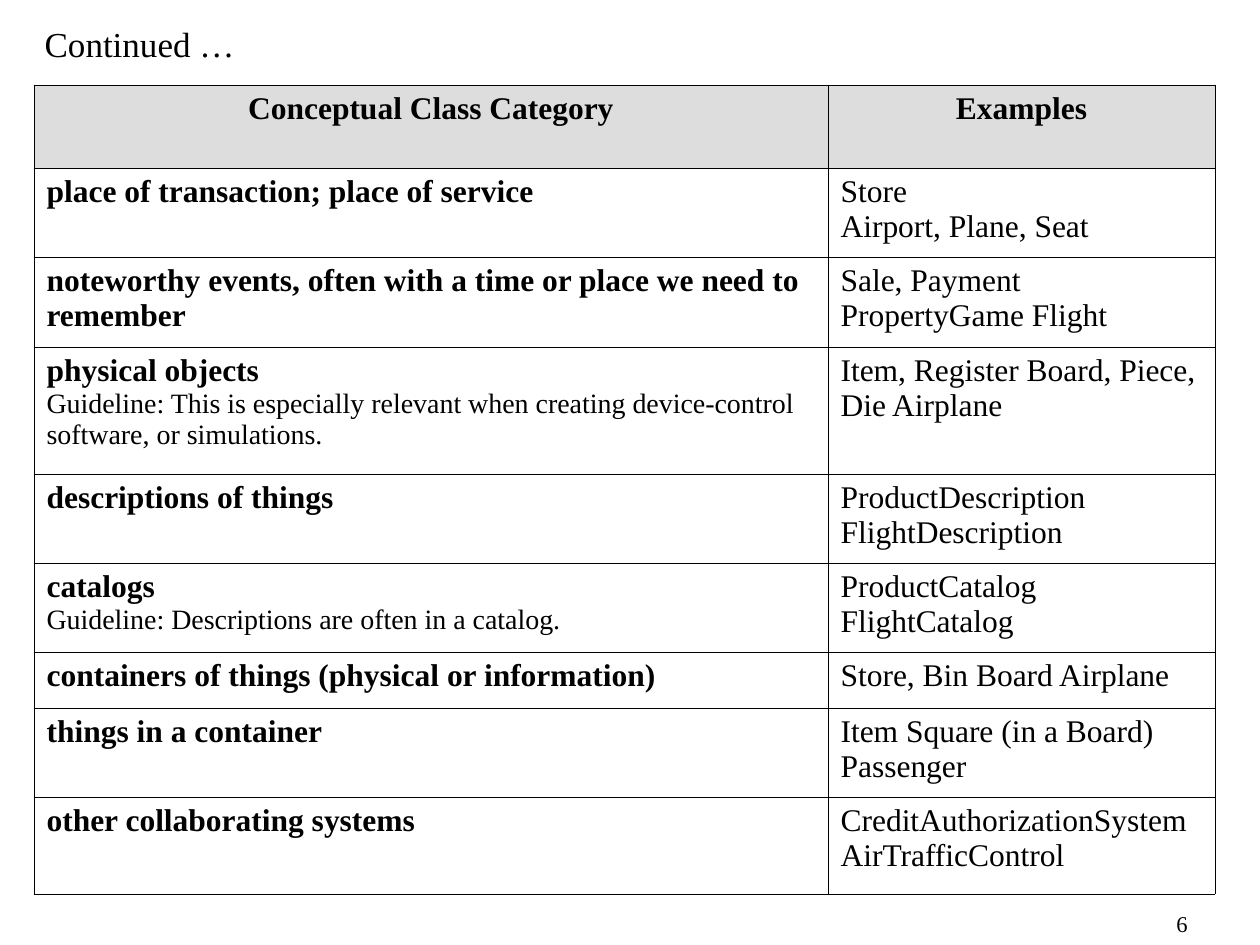
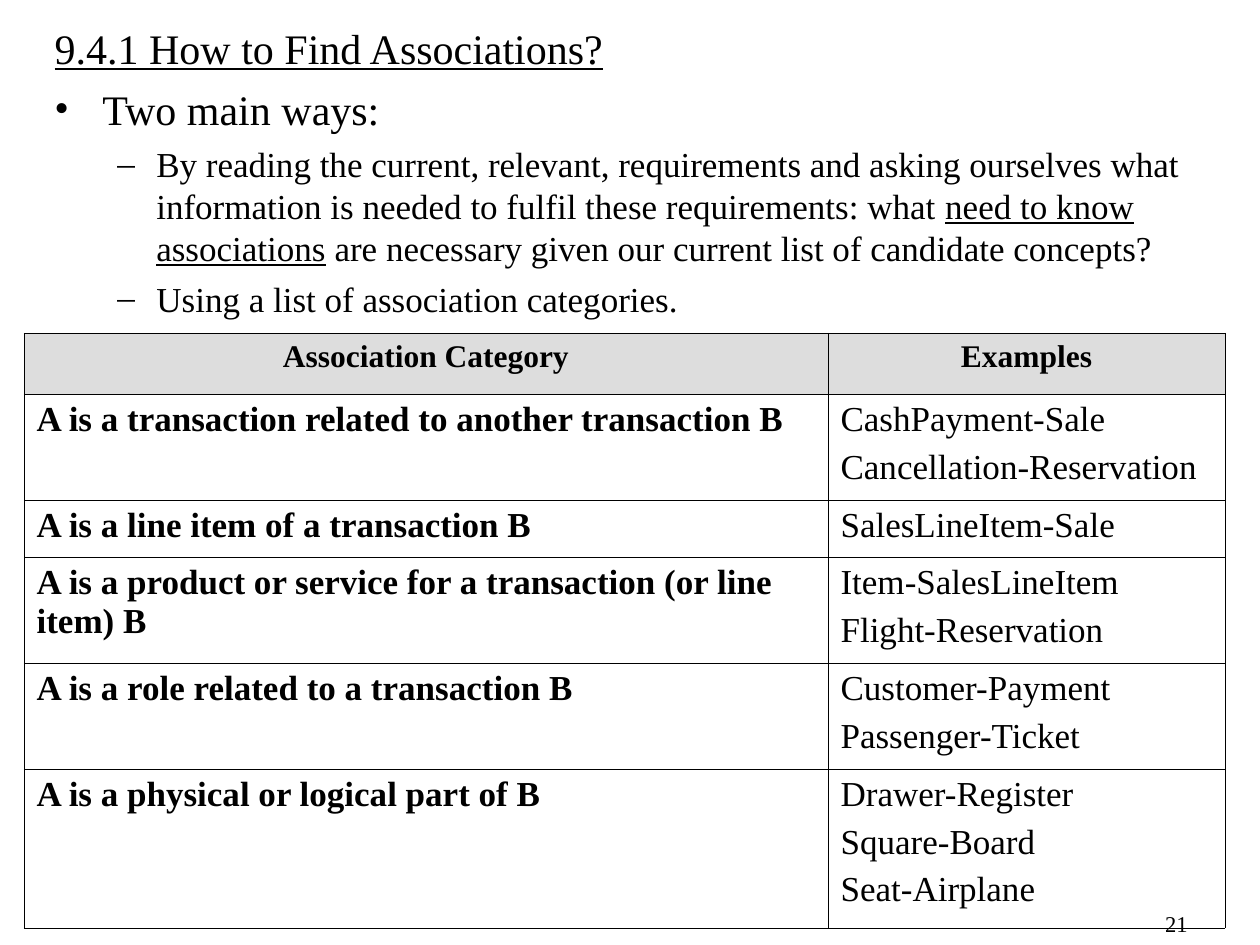
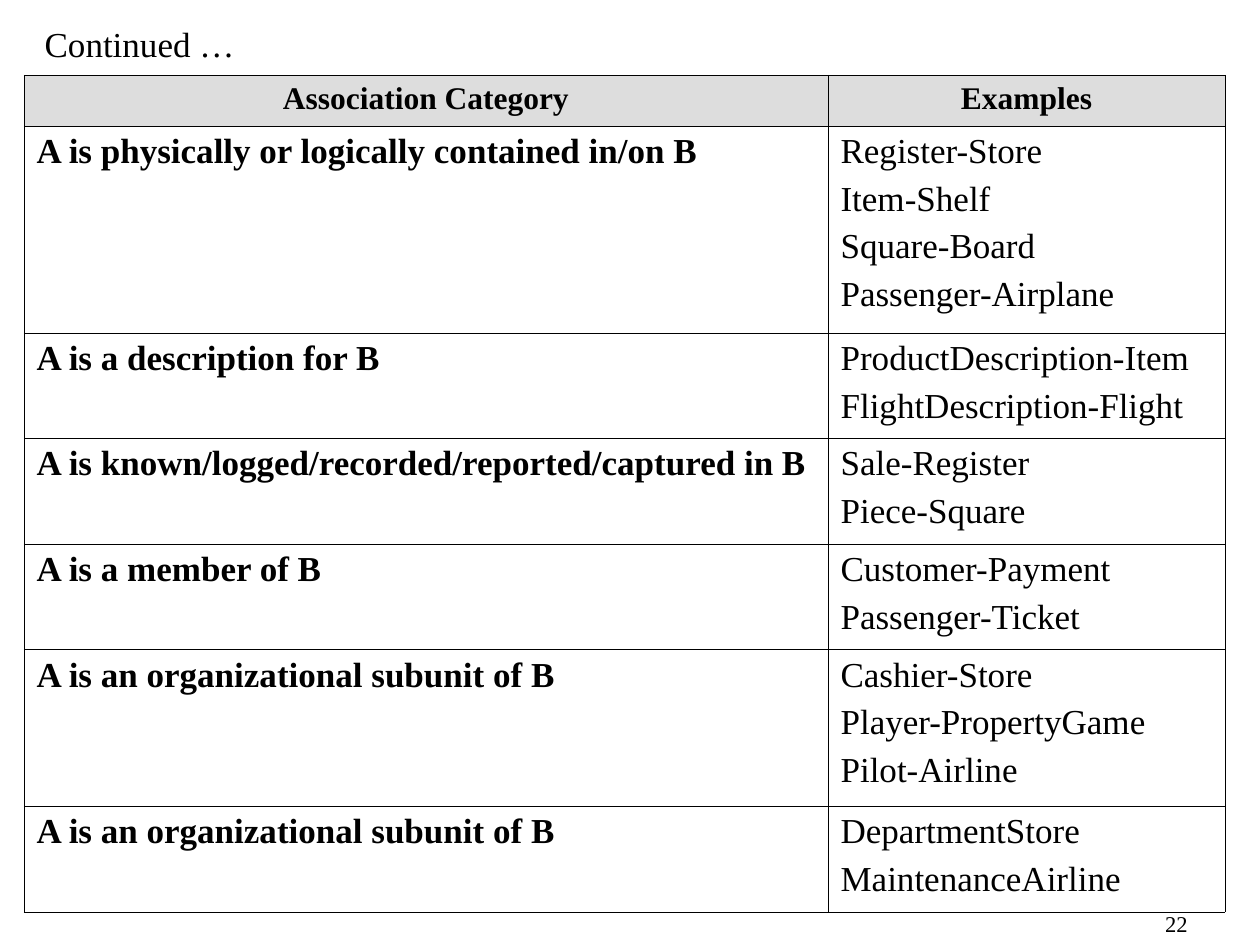
from dataclasses import dataclass

import pptx
import pptx.dml.color
import pptx.enum.text
import pptx.oxml
import pptx.oxml.ns
import pptx.util
from lxml import etree

PX = 914400 / 126
FONT = "Times New Roman"
BLACK, GREY = "000000", "DDDDDD"
TITLE_ONLY = 5
ALIGN = pptx.enum.text.PP_ALIGN


@dataclass
class Box:
    left: int
    top: int
    width: int
    height: int

    def emu(self) -> list[pptx.util.Emu]:
        return [px(v) for v in (self.left, self.top, self.width, self.height)]


@dataclass
class Row:
    height: int
    label: str
    names: str


@dataclass
class Grid:
    left: int
    top: int
    cols: tuple[int, int]
    size: int
    gap: int
    rows: list[Row]


@dataclass
class Point:
    level: int
    size: int
    runs: list[str]
    lined: int = -1  # index of the underlined run


@dataclass
class Page:
    number: int
    title: str
    size: int
    box: Box
    grid: Grid
    lined: bool = False


MARKS = [("•", 48, 48, 6), ("–", 102, 39, 5)]  # sign, margin, hang, space before
NUMBER = Box(938, 904, 262, 41)
CONTINUED = Box(32, 16, 220, 55)
BODY = Box(42, 77, 1162, 252)

POINTS = [
    Point(0, 24, ["Two main ways:"]),
    Point(1, 20, [
        "By reading the current, relevant, requirements and asking ourselves what "
        "information is needed to fulfil these requirements: what ",
        "need to know associations",
        " are necessary given our current list of candidate concepts?"], 1),
    Point(1, 20, ["Using a list of association categories."]),
]

CLASSES = Grid(34, 85, (794, 387), 18, 0, [
    Row(83, "Conceptual Class Category", "Examples"),
    Row(89, "place of transaction; place of service", "Store\nAirport, Plane, Seat"),
    Row(90, "noteworthy events, often with a time or place we need to remember",
        "Sale, Payment PropertyGame Flight"),
    Row(127, "physical objects\nGuideline: This is especially relevant when creating "
        "device-control software, or simulations.",
        "Item, Register Board, Piece, Die Airplane"),
    Row(89, "descriptions of things", "ProductDescription\nFlightDescription"),
    Row(89, "catalogs\nGuideline: Descriptions are often in a catalog.",
        "ProductCatalog\nFlightCatalog"),
    Row(56, "containers of things (physical or information)",
        "Store, Bin Board Airplane"),
    Row(89, "things in a container", "Item Square (in a Board) Passenger"),
    Row(97, "other collaborating systems",
        "CreditAuthorizationSystem\nAirTrafficControl"),
])

LINKS = Grid(24, 333, (804, 397), 20, 5, [
    Row(61, "Association Category", "Examples"),
    Row(106, "A is a transaction related to another transaction B",
        "CashPayment-Sale\nCancellation-Reservation"),
    Row(57, "A is a line item of a transaction B", "SalesLineItem-Sale"),
    Row(106, "A is a product or service for a transaction (or line item) B",
        "Item-SalesLineItem\nFlight-Reservation"),
    Row(106, "A is a role related to a transaction B",
        "Customer-Payment\nPassenger-Ticket"),
    Row(159, "A is a physical or logical part of B",
        "Drawer-Register\nSquare-Board\nSeat-Airplane"),
])

MORE = Grid(24, 75, (804, 397), 20, 5, [
    Row(51, "Association Category", "Examples"),
    Row(207, "A is physically or logically contained in/on B",
        "Register-Store\nItem-Shelf\nSquare-Board\nPassenger-Airplane"),
    Row(105, "A is a description for B",
        "ProductDescription-Item\nFlightDescription-Flight"),
    Row(106, "A is known/logged/recorded/reported/captured in B",
        "Sale-Register\nPiece-Square"),
    Row(105, "A is a member of B", "Customer-Payment\nPassenger-Ticket"),
    Row(156, "A is an organizational subunit of B",
        "Cashier-Store\nPlayer-PropertyGame\nPilot-Airline"),
    Row(106, "A is an organizational subunit of B",
        "DepartmentStore\nMaintenanceAirline"),
])

PAGES = [
    Page(6, "Continued …", 20, CONTINUED, CLASSES),
    Page(21, "9.4.1 How to Find Associations?", 24, Box(42, 16, 1162, 61), LINKS,
         lined=True),
    Page(22, "Continued …", 20, CONTINUED, MORE),
]


def px(value: int) -> pptx.util.Emu:
    return pptx.util.Emu(round(value * PX))


def color(code: str) -> pptx.dml.color.RGBColor:
    return pptx.dml.color.RGBColor.from_string(code)


def style(para, size: float, bold: bool = False) -> None:
    for run in para.runs:
        run.font.name = FONT
        run.font.size = pptx.util.Pt(size)
        run.font.bold = bold
        run.font.color.rgb = color(BLACK)


def child(parent, tag: str, **attrs: str):
    return etree.SubElement(parent, pptx.oxml.ns.qn(tag), attrs)


def mark(para, level: int) -> None:
    """Give the paragraph the bullet and indent of its level."""
    sign, margin, hang, _ = MARKS[level]
    para.level = level
    props = para._p.get_or_add_pPr()
    props.set("marL", str(px(margin)))
    props.set("indent", str(px(-hang)))
    child(child(props, "a:buClr"), "a:srgbClr", val=BLACK)
    child(props, "a:buFont", typeface=FONT)
    child(props, "a:buChar", char=sign)


def edge(cell) -> None:
    """Draw a thin black line on each side of the cell."""
    props = cell._tc.get_or_add_tcPr()
    for side in ("a:lnL", "a:lnR", "a:lnT", "a:lnB"):
        line = child(props, side, w=str(pptx.util.Pt(0.34)))
        child(child(line, "a:solidFill"), "a:srgbClr", val=BLACK)


def add_title(slide, page: Page) -> None:
    title = slide.shapes.title
    title.left, title.top, title.width, title.height = page.box.emu()
    frame = title.text_frame
    frame.text = page.title
    frame.word_wrap = True
    frame.auto_size = pptx.enum.text.MSO_AUTO_SIZE.NONE
    frame.vertical_anchor = pptx.enum.text.MSO_ANCHOR.TOP
    para = frame.paragraphs[0]
    para.alignment = ALIGN.LEFT
    style(para, page.size)
    para.runs[0].font.underline = page.lined


def add_number(slide, number: int) -> None:
    frame = slide.shapes.add_textbox(*NUMBER.emu()).text_frame
    frame.word_wrap = True
    frame.text = str(number)
    frame.paragraphs[0].alignment = ALIGN.RIGHT
    style(frame.paragraphs[0], 12.9)


def add_points(slide) -> None:
    frame = slide.shapes.add_textbox(*BODY.emu()).text_frame
    frame.word_wrap = True
    for i, point in enumerate(POINTS):
        para = frame.add_paragraph() if i else frame.paragraphs[0]
        mark(para, point.level)
        if i:
            para.space_before = pptx.util.Pt(MARKS[point.level][3])
        for j, text in enumerate(point.runs):
            run = para.add_run()
            run.text = text
            run.font.underline = j == point.lined
        style(para, point.size)


def fill_cell(cell, text: str, grid: Grid, head: bool, label: bool) -> None:
    edge(cell)
    if head:
        cell.fill.solid()
        cell.fill.fore_color.rgb = color(GREY)
    else:
        cell.fill.background()
    cell.text_frame.text = text
    for i, para in enumerate(cell.text_frame.paragraphs):
        if head:
            para.alignment = ALIGN.CENTER
            style(para, 18, True)
        elif label:
            style(para, 16 if i else grid.size, i == 0)
        else:
            style(para, grid.size)
            if i and grid.gap:
                para.space_before = pptx.util.Pt(grid.gap)


def add_grid(slide, grid: Grid) -> None:
    box = Box(grid.left, grid.top, sum(grid.cols), sum(r.height for r in grid.rows))
    table = slide.shapes.add_table(len(grid.rows), 2, *box.emu()).table
    table.horz_banding = False
    for col, width in zip(table.columns, grid.cols):
        col.width = px(width)
    for i, row in enumerate(grid.rows):
        table.rows[i].height = px(row.height)
        for j, text in enumerate((row.label, row.names)):
            fill_cell(table.cell(i, j), text, grid, i == 0, j == 0)


def main() -> None:
    deck = pptx.Presentation()
    deck.slide_width, deck.slide_height = px(1260), px(945)
    for page in PAGES:
        slide = deck.slides.add_slide(deck.slide_layouts[TITLE_ONLY])
        add_title(slide, page)
        add_number(slide, page.number)
        if page.grid is LINKS:
            add_points(slide)
        add_grid(slide, page.grid)
    deck.save("out.pptx")


if __name__ == "__main__":
    main()
